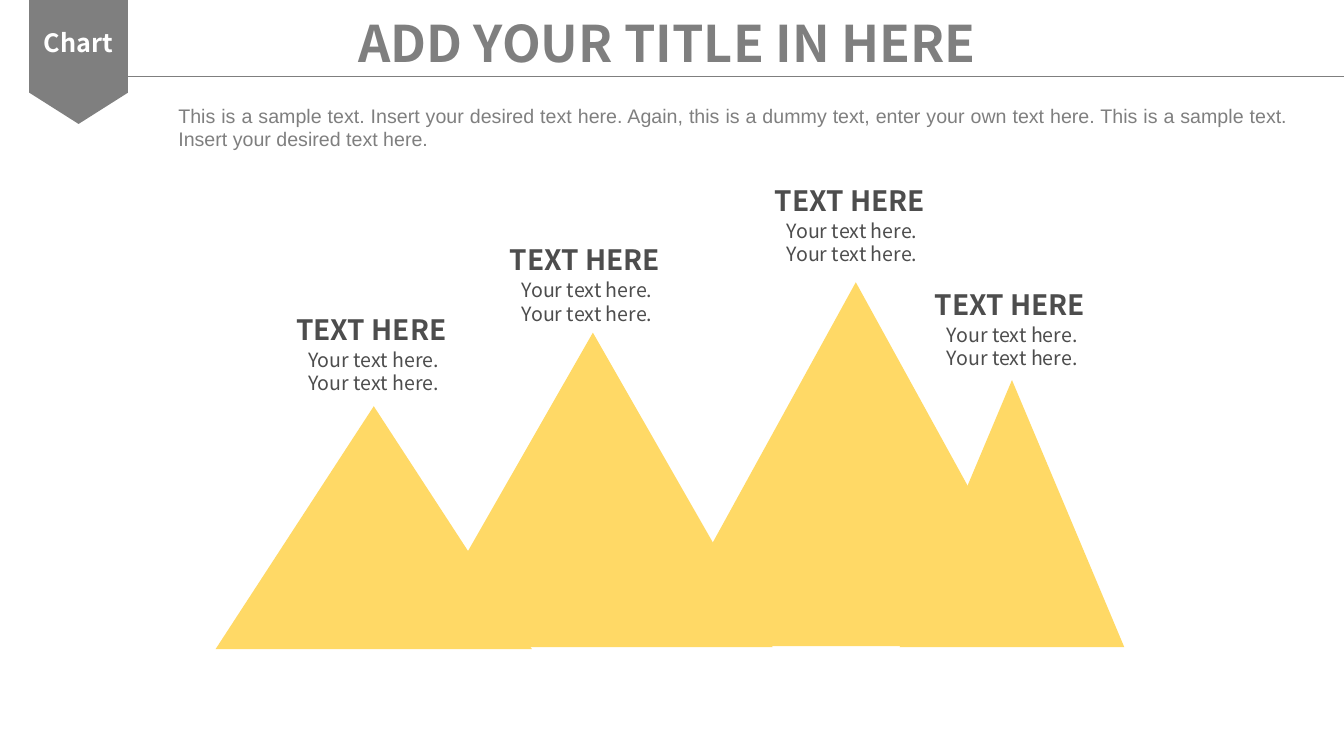
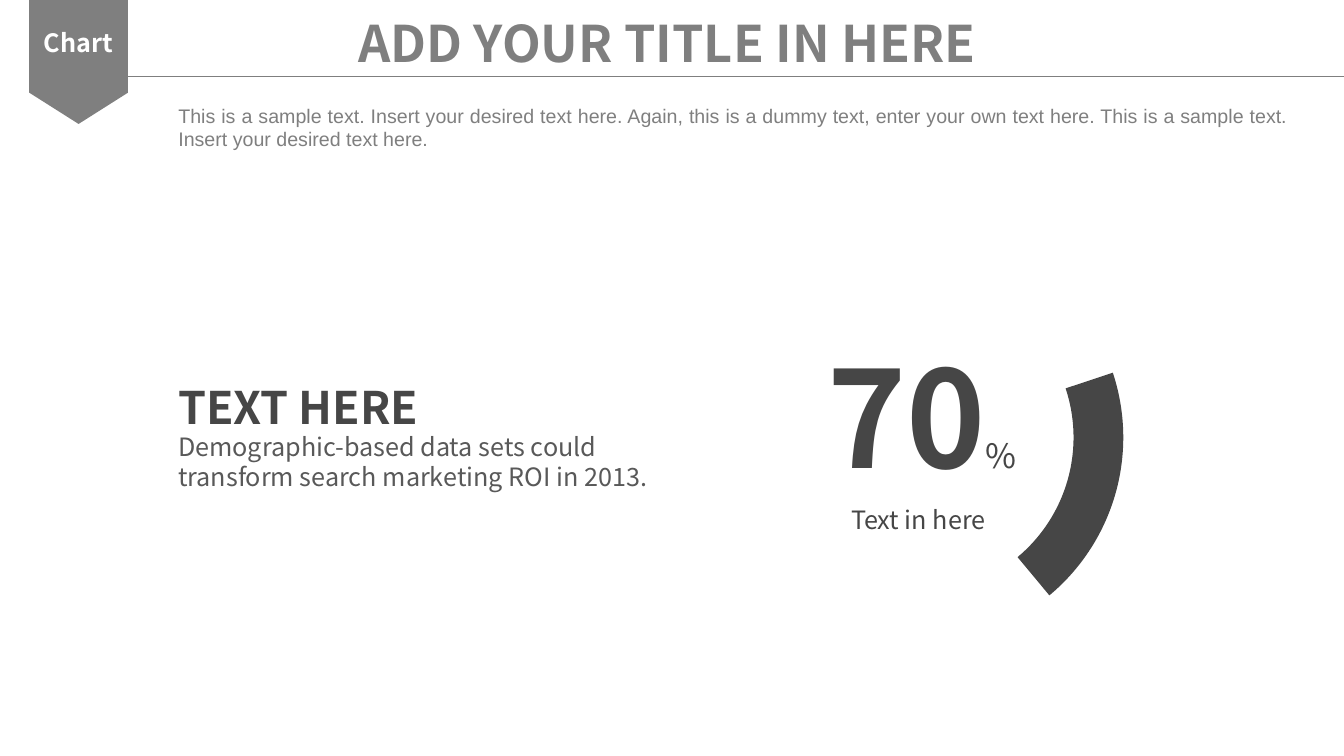
from lxml.etree import SubElement
from pptx import Presentation
from pptx.dml.color import RGBColor
from pptx.enum.shapes import MSO_CONNECTOR as Connector, MSO_SHAPE as Preset
from pptx.enum.text import MSO_ANCHOR as Anchor, MSO_AUTO_SIZE as AutoSize, PP_ALIGN as Align
from pptx.oxml.ns import qn
from pptx.util import Inches, Pt

WIDTH, HEIGHT = 13.34, 7.5
SANS, BODY_FONT = "Noto Sans CJK SC", "Arial"
GRAY, INK, LABEL, COPY = "7F7F7F", "464646", "4D4D4D", "595959"
YELLOW, WHITE = "FFD966", "FFFFFF"

TAG = "Chart"
TITLE = "ADD YOUR TITLE IN HERE"
INTRO = ("This is a sample text. Insert your desired text here. Again, this is a dummy text, "
         "enter your own text here. This is a sample text. Insert your desired text here.")
HEADING = "TEXT HERE"
PEAK_LINES = ["Your text here.", "Your text here."]
# Triangle (left, top, width, height), then label (left, top)
PEAKS = [
    ((2.14, 4.03, 3.14, 2.41), (2.84, 3.05)),
    ((4.10, 3.30, 3.57, 3.12), (4.96, 2.36)),
    ((6.51, 2.80, 3.97, 3.61), (7.59, 1.77)),
    ((8.93, 3.77, 2.23, 2.65), (9.18, 2.80)),
]
FINDING = "Demographic-based data sets could transform search marketing ROI in 2013."
SHARE, UNIT, SHARE_LABEL = "70", "%", "Text in here"

PENNANT = [(0.29, 0), (1.27, 0), (1.27, 0.92), (0.78, 1.23), (0.29, 0.92)]
RULE_Y = 0.76
MARGIN = 1.67


def color(value):
    return RGBColor.from_string(value)


def paint(shape, fill):
    shape.shadow.inherit = False
    shape.fill.solid()
    shape.fill.fore_color.rgb = color(fill)
    shape.line.fill.background()
    return shape


def place(shape, at):
    shape.left, shape.top, shape.width, shape.height = map(Inches, at)


def write(shape, lines, size, ink, font=SANS, bold=False, align=Align.LEFT,
          wrap=True, pad=0.05, spacing=None):
    """Fill a shape with paragraphs; a line may be a list of (text, size, bold) spans."""
    frame = shape.text_frame
    frame.word_wrap = wrap
    frame.auto_size = AutoSize.NONE
    frame.vertical_anchor = Anchor.TOP
    frame.margin_left = frame.margin_right = Inches(0.1)
    frame.margin_top = frame.margin_bottom = Inches(pad)
    for index, line in enumerate(lines):
        para = frame.add_paragraph() if index else frame.paragraphs[0]
        para.alignment = align
        para.space_before = Pt(0)
        if spacing:
            para.line_spacing = Pt(spacing)
        spans = [(line, size, bold)] if isinstance(line, str) else line
        for text, span_size, span_bold in spans:
            span = para.add_run()
            span.text = text
            span.font.name = font
            span.font.size = Pt(span_size)
            span.font.bold = span_bold
            span.font.color.rgb = color(ink)


def add_text(slide, at, lines, size, ink, **style):
    box = slide.shapes.add_textbox(*map(Inches, at))
    write(box, lines, size, ink, **style)


def add_slide(deck):
    """Add a slide with the shared pennant, title, rule and introduction."""
    slide = deck.slides.add_slide(deck.slide_layouts[1])
    title, body = slide.placeholders
    place(title, (1.82, 0.07, 9.6, 0.7))
    write(title, [TITLE], 36, GRAY, bold=True, align=Align.CENTER)
    place(body, (MARGIN, 1.03, 11.22, 1.06))
    properties = body.text_frame.paragraphs[0]._p.get_or_add_pPr()
    properties.set("marL", "0")
    properties.set("indent", "0")
    SubElement(properties, qn("a:buNone"))
    write(body, [INTRO], 14, GRAY, font=BODY_FONT, align=Align.JUSTIFY, pad=0)

    points = [(Inches(x), Inches(y)) for x, y in PENNANT]
    outline = slide.shapes.build_freeform(*points[0])
    outline.add_line_segments(points[1:], close=True)
    paint(outline.convert_to_shape(), GRAY)
    add_text(slide, (0.33, 0.22, 0.89, 0.4), [TAG], 18, WHITE, bold=True,
             align=Align.CENTER, wrap=False)

    rule = slide.shapes.add_connector(
        Connector.STRAIGHT, Inches(1.25), Inches(RULE_Y), Inches(WIDTH), Inches(RULE_Y))
    rule.line.color.rgb = color(GRAY)
    rule.line.width = Pt(0.5)
    SubElement(rule._element.spPr, qn("a:effectLst"))
    return slide


def add_peaks(slide):
    for triangle, _ in PEAKS:
        paint(slide.shapes.add_shape(Preset.ISOSCELES_TRIANGLE, *map(Inches, triangle)), YELLOW)
    for _, (left, top) in PEAKS:
        add_text(slide, (left + 0.12, top + 0.35, 1.8, 0.57), PEAK_LINES, 14, LABEL)
        add_text(slide, (left, top, 1.8, 0.44), [HEADING], 20, LABEL, bold=True)


def add_share(slide):
    add_text(slide, (MARGIN, 3.72, 3.09, 0.64), [HEADING], 32, INK, bold=True)
    add_text(slide, (MARGIN, 4.23, 5.27, 0.7), [FINDING], 18, COPY)
    arc = paint(slide.shapes.add_shape(
        Preset.BLOCK_ARC, *map(Inches, (7.07, 2.3, 4.08, 4.08))), INK)
    arc.rotation = 285.9
    for index, value in enumerate((33.444, 74.556, 0.121)):
        arc.adjustments[index] = value
    add_text(slide, (7.7, 4.03, 2.9, 0.94), [[(SHARE, 96, True), (UNIT, 24, False)]],
             96, INK, align=Align.CENTER, spacing=60)
    add_text(slide, (8.32, 4.42, 1.59, 0.94), [SHARE_LABEL], 18, INK,
             align=Align.CENTER, wrap=False, spacing=60)


def main():
    deck = Presentation()
    deck.slide_width, deck.slide_height = Inches(WIDTH), Inches(HEIGHT)
    for add_content in (add_peaks, add_share):
        add_content(add_slide(deck))
    deck.save("out.pptx")


if __name__ == "__main__":
    main()
